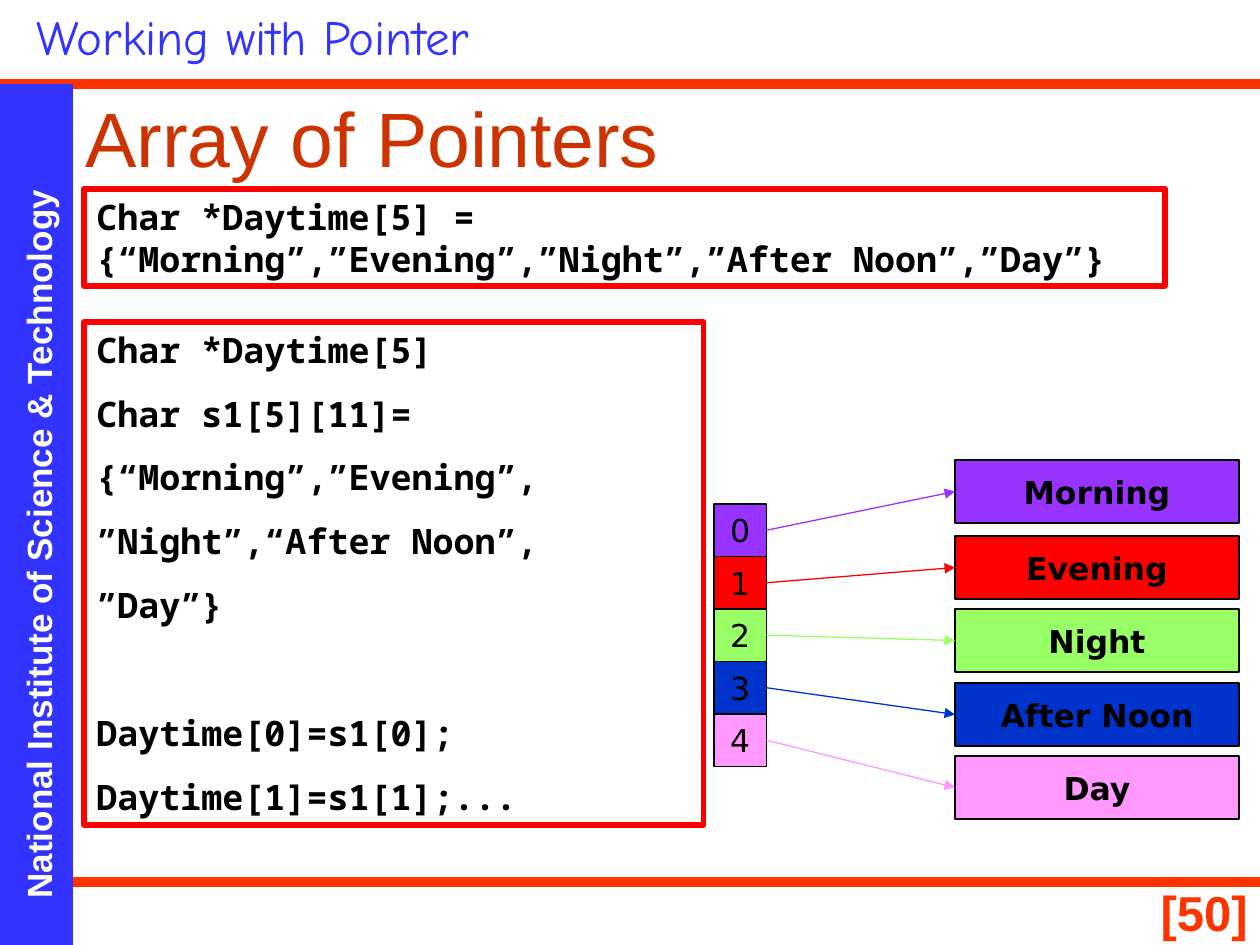
from lxml.etree import SubElement
from pptx import Presentation
from pptx.dml.color import RGBColor
from pptx.enum.shapes import MSO_CONNECTOR as Connector, MSO_SHAPE as Shape
from pptx.enum.text import MSO_ANCHOR as Anchor, PP_ALIGN as Align
from pptx.oxml.ns import qn
from pptx.util import Emu, Pt

PX_PER_INCH = 126
ORANGE, BLUE, RED, BLACK = "FF3300", "3333FF", "FF0000", "000000"
SANS, MONO = "DejaVu Sans", "Noto Sans Mono"
ITEMS = [
    ("Morning", "9933FF", 460),
    ("Evening", "FF0000", 536),
    ("Night", "99FF66", 609),
    ("After Noon", "0033CC", 683),
    ("Day", "FF99FF", 756),
]


def px(length):
    return Emu(round(length * 914400 / PX_PER_INCH))


def color(value):
    return RGBColor.from_string(value)


def set_text(shape, lines, font, size, text_color, bold=False,
             align=Align.LEFT, anchor=Anchor.TOP, wrap=True, space=0):
    frame = shape.text_frame
    frame.word_wrap = wrap
    frame.vertical_anchor = anchor
    frame.text = "\n".join(lines)
    for index, paragraph in enumerate(frame.paragraphs):
        paragraph.alignment = align
        if index and space:
            paragraph.space_before = Pt(space)
        for run in paragraph.runs:
            run.font.name = font
            run.font.size = Pt(size)
            run.font.bold = bold
            run.font.color.rgb = color(text_color)
    return frame


def add_label(slide, box, text, font, size, text_color, **style):
    label = slide.shapes.add_textbox(*map(px, box))
    set_text(label, [text], font, size, text_color, **style)
    return label


def add_box(slide, box, fill=None, line=None, line_width=0.75):
    shape = slide.shapes.add_shape(Shape.RECTANGLE, *map(px, box))
    shape.shadow.inherit = False
    if fill:
        shape.fill.solid()
        shape.fill.fore_color.rgb = color(fill)
    else:
        shape.fill.background()
    if line:
        shape.line.color.rgb = color(line)
        shape.line.width = Pt(line_width)
    else:
        shape.line.fill.background()
    return shape


def add_line(slide, start, end, line_color, width, arrow=False):
    line = slide.shapes.add_connector(
        Connector.STRAIGHT, *map(px, (*start, *end)))
    line.line.color.rgb = color(line_color)
    line.line.width = Pt(width)
    if arrow:
        SubElement(line.line._get_or_add_ln(), qn("a:tailEnd"), type="triangle")
    SubElement(line._element.spPr, qn("a:effectLst"))


def add_page_frame(slide):
    for y in (882, 84):
        add_line(slide, (0, y), (1260, y), ORANGE, 6)
    add_label(slide, (1106, 876, 154, 58), "[50]", "Arial", 28, ORANGE,
              bold=True, align=Align.RIGHT)
    add_box(slide, (0, 84, 73, 861), fill=BLUE)
    institute = add_label(
        slide, (-350, 496, 776, 54),
        "National Institute of Science & Technology",
        "Arial", 20, "FEFEF4", bold=True)
    institute.rotation = 270
    add_label(slide, (24, 0, 464, 72), "Working with Pointer",
              "Comic Neue", 28, BLUE, wrap=False)


def add_pointer_diagram(slide):
    cell_left, cell_top, cell_size = 714, 504, 52.5
    word_left, word_width, word_height = 955, 284, 63
    centered = dict(align=Align.CENTER, anchor=Anchor.MIDDLE, wrap=False)
    for index, (word, fill, word_top) in enumerate(ITEMS):
        top = cell_top + index * cell_size
        cell = add_box(slide, (cell_left, top, cell_size, cell_size), fill, BLACK)
        set_text(cell, [str(index)], SANS, 18, BLACK, **centered)
        word_box = add_box(
            slide, (word_left, word_top, word_width, word_height), fill, BLACK)
        set_text(word_box, [word], SANS, 18, BLACK, bold=True, **centered)
        add_line(slide, (cell_left + cell_size, top + cell_size / 2),
                 (word_left, word_top + word_height / 2), fill, 0.75, arrow=True)


def add_code(slide, box, lines):
    shape = add_box(slide, box, line=RED, line_width=3)
    return set_text(shape, lines, MONO, 20, BLACK, bold=True, space=12.5)


def main():
    presentation = Presentation()
    presentation.slide_width = px(1260)
    presentation.slide_height = px(945)
    slide = presentation.slides.add_slide(presentation.slide_layouts[6])

    add_page_frame(slide)
    add_pointer_diagram(slide)
    add_code(slide, (84, 189, 1081, 97), [
        "Char *Daytime[5] = {“Morning”,”Evening”,”Night”,”After Noon”,”Day”}",
    ])
    code = add_code(slide, (84, 322, 620, 503), [
        "Char *Daytime[5]",
        "Char s1[5][11]=",
        "{“Morning”,”Evening”,",
        "”Night”,“After Noon”,",
        "”Day”}",
        "Daytime[0]=s1[0];",
        "Daytime[1]=s1[1];...",
    ])
    code.paragraphs[5].space_before = Pt(49)
    add_label(slide, (73, 84, 1148, 105), "Array of Pointers",
              "Arial", 44, "CC3300", anchor=Anchor.BOTTOM)
    presentation.save("out.pptx")


if __name__ == "__main__":
    main()
